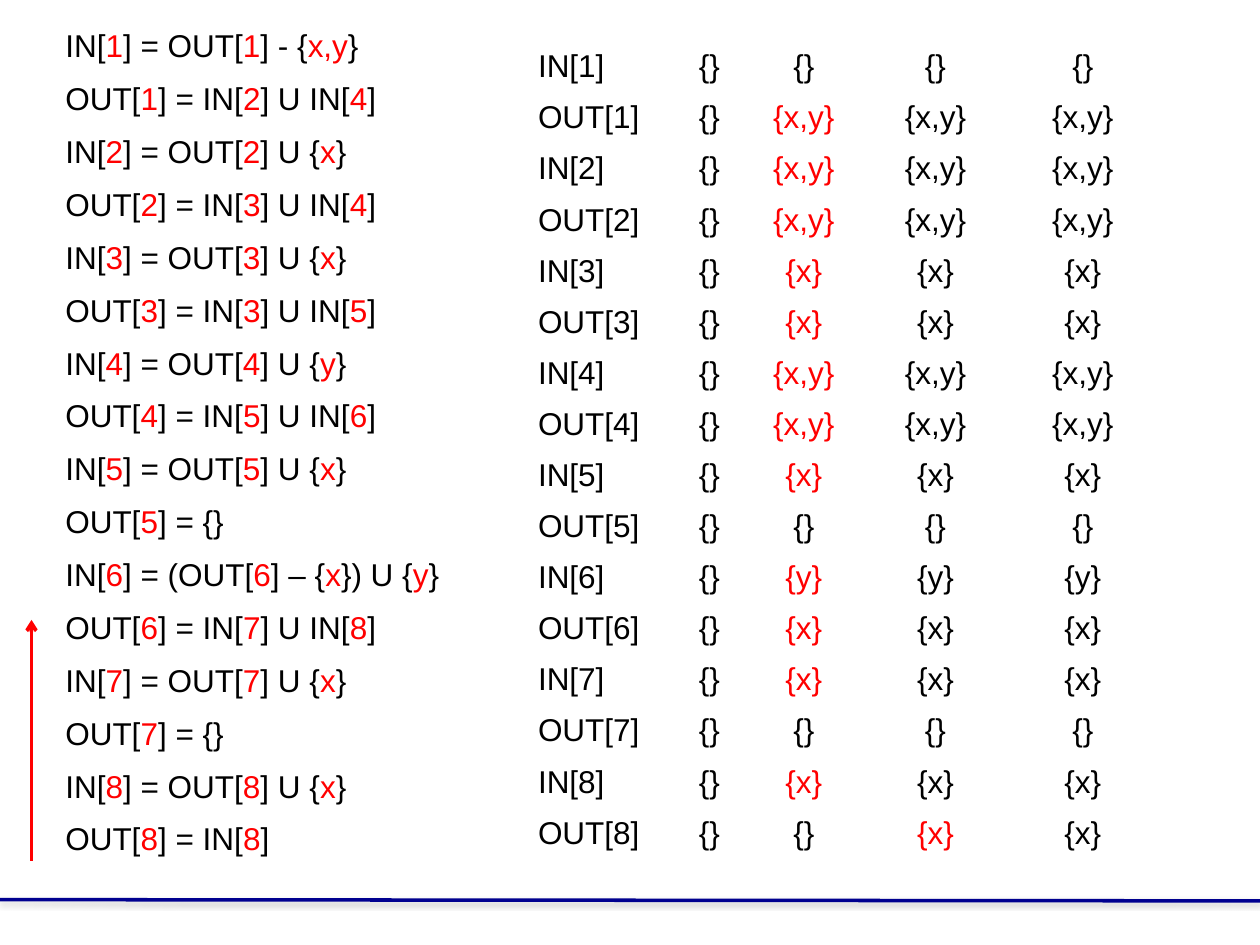
from itertools import groupby

from lxml.etree import SubElement
from pptx import Presentation
from pptx.dml.color import RGBColor
from pptx.enum.shapes import MSO_CONNECTOR
from pptx.enum.text import MSO_AUTO_SIZE, PP_ALIGN
from pptx.oxml.ns import qn
from pptx.util import Inches, Pt

COLORS = {"text": "000000", "accent": "FF0000", "rule": "000090", "shadow": "808080"}
FONT = {"name": "Arial", "size": Pt(18)}
ACCENTED = "0123456789xy,"

EQUATIONS = [
    "IN[1] = OUT[1] - {x,y}",
    "OUT[1] = IN[2] U IN[4]",
    "IN[2] = OUT[2] U {x}",
    "OUT[2] = IN[3] U IN[4]",
    "IN[3] = OUT[3] U {x}",
    "OUT[3] = IN[3] U IN[5]",
    "IN[4] = OUT[4] U {y}",
    "OUT[4] = IN[5] U IN[6]",
    "IN[5] = OUT[5] U {x}",
    "OUT[5] = {}",
    "IN[6] = (OUT[6] – {x}) U {y}",
    "OUT[6] = IN[7] U IN[8]",
    "IN[7] = OUT[7] U {x}",
    "OUT[7] = {}",
    "IN[8] = OUT[8] U {x}",
    "OUT[8] = IN[8]",
]

LABELS = [f"{side}[{node}]" for node in range(1, 9) for side in ("IN", "OUT")]
FINAL = [
    "{}", "{x,y}", "{x,y}", "{x,y}", "{x}", "{x}", "{x,y}", "{x,y}",
    "{x}", "{}", "{y}", "{x}", "{x}", "{}", "{x}", "{x}",
]
START = ["{}"] * len(FINAL)
FIRST_PASS = FINAL[:-1] + ["{}"]
ROWS = list(zip(LABELS, START, FIRST_PASS, FINAL, FINAL))


class SlideBuilder:
    def __init__(self, page):
        self.page = page

    def color(self, name):
        return RGBColor.from_string(COLORS[name])

    def span(self, para, text, color):
        span = para.add_run()
        span.text = text
        for key, value in FONT.items():
            setattr(span.font, key, value)
        span.font.color.rgb = self.color(color)

    def line(self, start, end, color, arrow=False, shadow=False):
        points = [Inches(value) for value in (*start, *end)]
        line = self.page.shapes.add_connector(MSO_CONNECTOR.STRAIGHT, *points)
        line.line.color.rgb = self.color(color)
        line.line.width = Pt(2)
        properties = line._element.spPr
        if arrow:
            SubElement(properties.find(qn("a:ln")), qn("a:tailEnd"), type="arrow")
        effects = SubElement(properties, qn("a:effectLst"))
        if shadow:
            outer = SubElement(effects, qn("a:outerShdw"), blurRad=str(Pt(3.1)),
                               dist=str(Pt(1.6)), dir="5400000", rotWithShape="0")
            shade = SubElement(outer, qn("a:srgbClr"), val=COLORS["shadow"])
            SubElement(shade, qn("a:alpha"), val="38000")

    def equations(self, area, lines):
        box = self.page.shapes.add_textbox(*[Inches(value) for value in area])
        frame = box.text_frame
        frame.word_wrap = False
        frame.auto_size = MSO_AUTO_SIZE.SHAPE_TO_FIT_TEXT
        for index, text in enumerate(lines):
            para = frame.add_paragraph() if index else frame.paragraphs[0]
            para.line_spacing = 1.4
            for accented, letters in groupby(text, lambda letter: letter in ACCENTED):
                self.span(para, "".join(letters), "accent" if accented else "text")

    def table(self, area, widths, rows):
        lengths = [Inches(value) for value in area]
        table = self.page.shapes.add_table(len(rows), len(widths), *lengths).table
        table.first_row = False
        table.horz_banding = False
        for column, width in zip(table.columns, widths):
            column.width = Inches(width)
        for row, values in enumerate(rows):
            for column, text in enumerate(values):
                cell = table.cell(row, column)
                cell.fill.background()
                para = cell.text_frame.paragraphs[0]
                para.alignment = PP_ALIGN.CENTER if column else PP_ALIGN.LEFT
                changed = column > 1 and text != values[column - 1]
                self.span(para, text, "accent" if changed else "text")


def main():
    deck = Presentation()
    deck.slide_width = Inches(10)
    deck.slide_height = Inches(7.5)
    builder = SlideBuilder(deck.slides.add_slide(deck.slide_layouts[6]))
    builder.line((0, 7.14), (10, 7.15), "rule", shadow=True)
    builder.equations((0.42, 0.04, 3.19, 6.87), EQUATIONS)
    builder.table((4.17, 0.34, 5, 6.49), (1.17, 0.58, 0.92, 1.17, 1.17), ROWS)
    builder.line((0.25, 6.83), (0.25, 4.92), "accent", arrow=True)
    deck.save("out.pptx")


if __name__ == "__main__":
    main()
